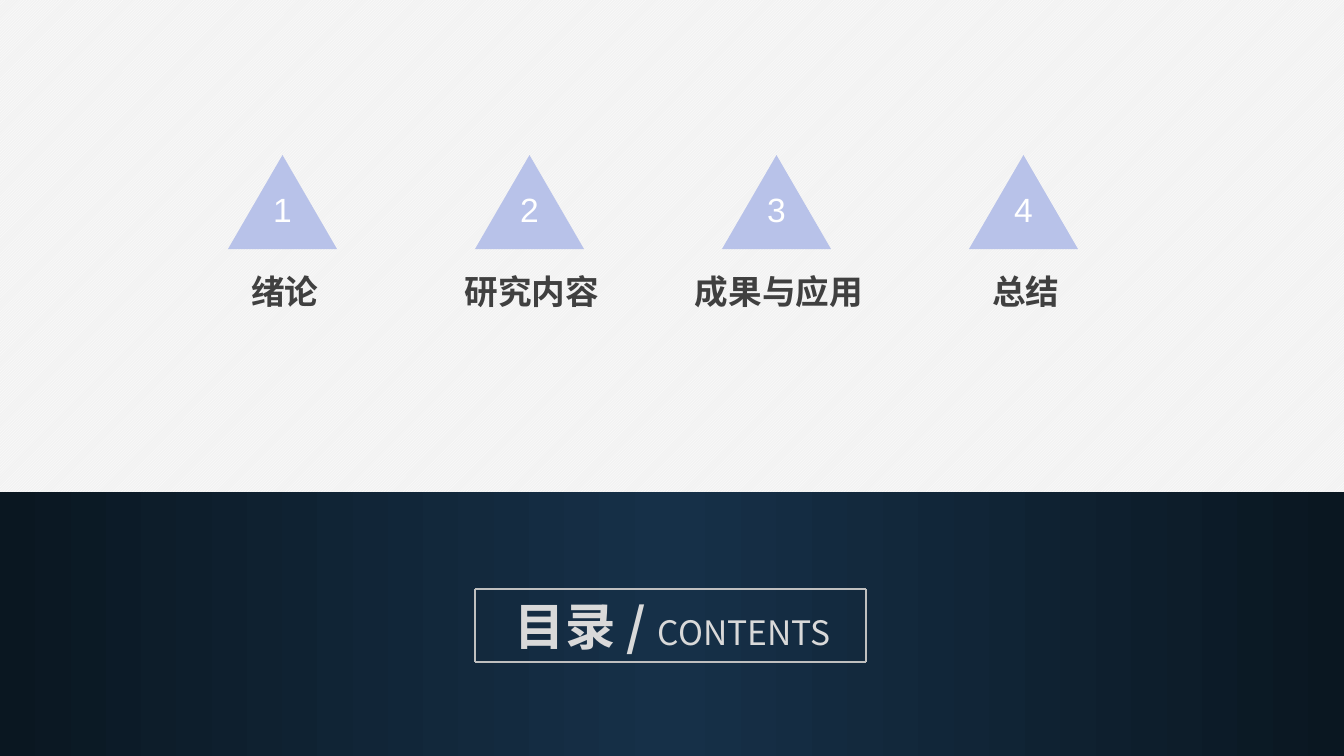
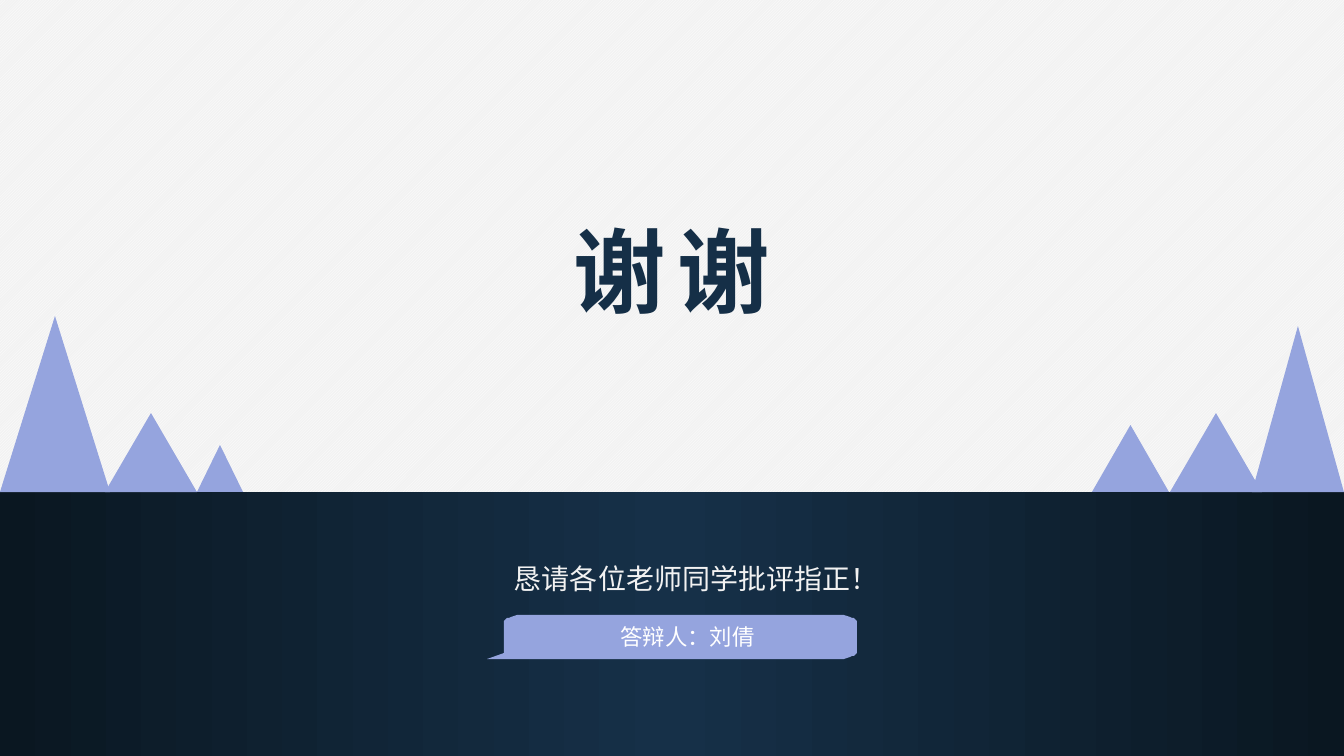
from math import cos, radians, sin

from lxml import etree
from pptx import Presentation
from pptx.dml.color import RGBColor
from pptx.enum.dml import MSO_PATTERN
from pptx.enum.shapes import MSO_CONNECTOR, MSO_SHAPE
from pptx.enum.text import MSO_ANCHOR, MSO_AUTO_SIZE, PP_ALIGN
from pptx.oxml.ns import qn
from pptx.util import Pt

PX = 12192000 / 1344
WIDTH, HEIGHT = 1344, 756
HORIZON = 492
TITLE_ONLY = 5

TRIANGLE, RECTANGLE = MSO_SHAPE.ISOSCELES_TRIANGLE, MSO_SHAPE.RECTANGLE
STRAIGHT = MSO_CONNECTOR.STRAIGHT
STRIPES = MSO_PATTERN.LIGHT_UPWARD_DIAGONAL
MIDDLE, FIXED = MSO_ANCHOR.MIDDLE, MSO_AUTO_SIZE.NONE
LEFT, CENTER = PP_ALIGN.LEFT, PP_ALIGN.CENTER

WHITE = RGBColor(0xFF, 0xFF, 0xFF)
PALE = RGBColor(0xF2, 0xF2, 0xF2)
LIGHT_GREY = RGBColor(0xD9, 0xD9, 0xD9)
FRAME_GREY = RGBColor(0xBF, 0xBF, 0xBF)
DARK_GREY = RGBColor(0x40, 0x40, 0x40)
NAVY = RGBColor(0x16, 0x30, 0x48)
TITLE_NAVY = RGBColor(0x15, 0x2F, 0x47)
NIGHT = RGBColor(0x0A, 0x17, 0x21)
LILAC = RGBColor(0xB8, 0xC2, 0xE9)
VIOLET = RGBColor(0x95, 0xA4, 0xDE)
SANS, NUMERAL = "Noto Sans CJK SC", "Arial"

# left, top, width, height, rotation
BANDS = [(0, 492, 670, 264, 180), (670, 492, 674, 264, 0)]

# text, size, bold
CONTENTS_TITLE = [("目录 / ", 36, True), ("CONTENTS", 24, False)]
CONTENTS_FRAME = [(475, 589), (866, 589), (866, 662), (475, 662)]
CHAPTERS = ["绪论", "研究内容", "成果与应用", "总结"]
CHAPTER_LEFT, CHAPTER_PITCH = 228, 247

THANKS_TITLE = [("谢谢", 66, True)]
REQUEST = "恳请各位老师同学批评指正！"
SPEAKER = "答辩人：刘倩"
# left, width, height
PEAKS = [(0, 110, 176), (105, 92, 79), (197, 46, 47),
         (1092, 77, 67), (1170, 92, 79), (1252, 92, 166)]
# centre x, centre y, start angle
BUBBLE_CORNERS = [(524, 622, 180), (837, 622, 270), (837, 652, 0)]
BUBBLE_RADII = (20, 7)
BUBBLE_TAIL = [(487, 659), (504, 653)]


def emu(*lengths):
    return [round(length * PX) for length in lengths]


def paint(shape, color):
    shape.shadow.inherit = False
    shape.fill.solid()
    shape.fill.fore_color.rgb = color
    shape.line.fill.background()


def write(box, spans, color, font=SANS, align=CENTER, wrap=True,
          line_spacing=None, tracking=None):
    """Fill a box with one paragraph of (text, size, bold) spans."""
    frame = box.text_frame
    frame.auto_size, frame.word_wrap = FIXED, wrap
    frame.vertical_anchor = MIDDLE
    para = frame.paragraphs[0]
    para.alignment = align
    if line_spacing:
        para.line_spacing = line_spacing
    para.font.name = font
    para.font.color.rgb = color
    defaults = para._p.pPr.find(qn("a:defRPr"))
    etree.SubElement(defaults, qn("a:ea")).set("typeface", font)
    if tracking:
        defaults.set("spc", str(tracking * 100))
    for text, size, bold in spans:
        span = para.add_run()
        span.text = text
        style = para.font if len(spans) == 1 else span.font
        style.size, style.bold = Pt(size), bold


def add_text(shapes, area, text, size, color, bold=False, **style):
    write(shapes.add_textbox(*emu(*area)), [(text, size, bold)], color, **style)


def add_triangle(shapes, area, color):
    paint(shapes.add_shape(TRIANGLE, *emu(*area)), color)


def add_page(deck, area, title, color, **style):
    page = deck.slides.add_slide(deck.slide_layouts[TITLE_ONLY])
    box = page.shapes.title
    box.left, box.top, box.width, box.height = emu(*area)
    write(box, title, color, **style)
    return page


def set_backdrop(deck, page):
    """Stripe the master and move the dark bands into the shared layout."""
    fill = deck.slide_master.background.fill
    fill.patterned()
    fill.pattern = STRIPES
    fill.fore_color.rgb, fill.back_color.rgb = WHITE, PALE
    for *area, rotation in BANDS:
        band = page.shapes.add_shape(RECTANGLE, *emu(*area))
        paint(band, NAVY)
        band.fill.gradient()
        band.fill.gradient_angle = 0
        for stop, color in zip(band.fill.gradient_stops, (NAVY, NIGHT)):
            stop.color.rgb = color
        band.rotation = rotation
        page.slide_layout.shapes.element.insert(2, band.element)


def add_frame(page, corners):
    for start, end in zip(corners, corners[1:] + corners[:1]):
        edge = page.shapes.add_connector(STRAIGHT, *emu(*start, *end))
        edge.line.color.rgb = FRAME_GREY
        edge.line.width = Pt(1)
        etree.SubElement(edge.element.spPr, qn("a:effectLst"))


def add_chapter(page, index, name):
    left = CHAPTER_LEFT + index * CHAPTER_PITCH
    shapes = page.shapes.add_group_shape().shapes
    add_text(shapes, (left - 38, 266, 190, 50), name, 24, DARK_GREY, bold=True)
    add_triangle(shapes, (left, 155, 109, 94), LILAC)
    add_text(shapes, (left + 35, 184, 39, 50), str(index + 1), 24, WHITE,
             font=NUMERAL, wrap=False)


def add_bubble(page):
    radius_x, radius_y = BUBBLE_RADII
    points = [(x + radius_x * cos(radians(start + turn)),
               y + radius_y * sin(radians(start + turn)))
              for x, y, start in BUBBLE_CORNERS for turn in range(0, 91, 10)]
    builder = page.shapes.build_freeform(*points[0], scale=PX)
    builder.add_line_segments(points[1:] + BUBBLE_TAIL, close=True)
    paint(builder.convert_to_shape(), VIOLET)


def main():
    deck = Presentation()
    deck.slide_width, deck.slide_height = emu(WIDTH, HEIGHT)

    contents = add_page(deck, (490, 589, 365, 72), CONTENTS_TITLE, LIGHT_GREY)
    set_backdrop(deck, contents)
    add_frame(contents, CONTENTS_FRAME)
    for index, name in enumerate(CHAPTERS):
        add_chapter(contents, index, name)

    thanks = add_page(deck, (427, 209, 490, 122), THANKS_TITLE, TITLE_NAVY,
                      tracking=8)
    add_text(thanks.shapes, (504, 542, 401, 55), REQUEST, 20, PALE,
             align=LEFT, line_spacing=1.5)
    for left, width, height in PEAKS:
        add_triangle(thanks.shapes, (left, HORIZON - height, width, height),
                     VIOLET)
    add_bubble(thanks)
    add_text(thanks.shapes, (487, 618, 401, 37), SPEAKER, 16, WHITE)

    deck.save("out.pptx")


if __name__ == "__main__":
    main()
